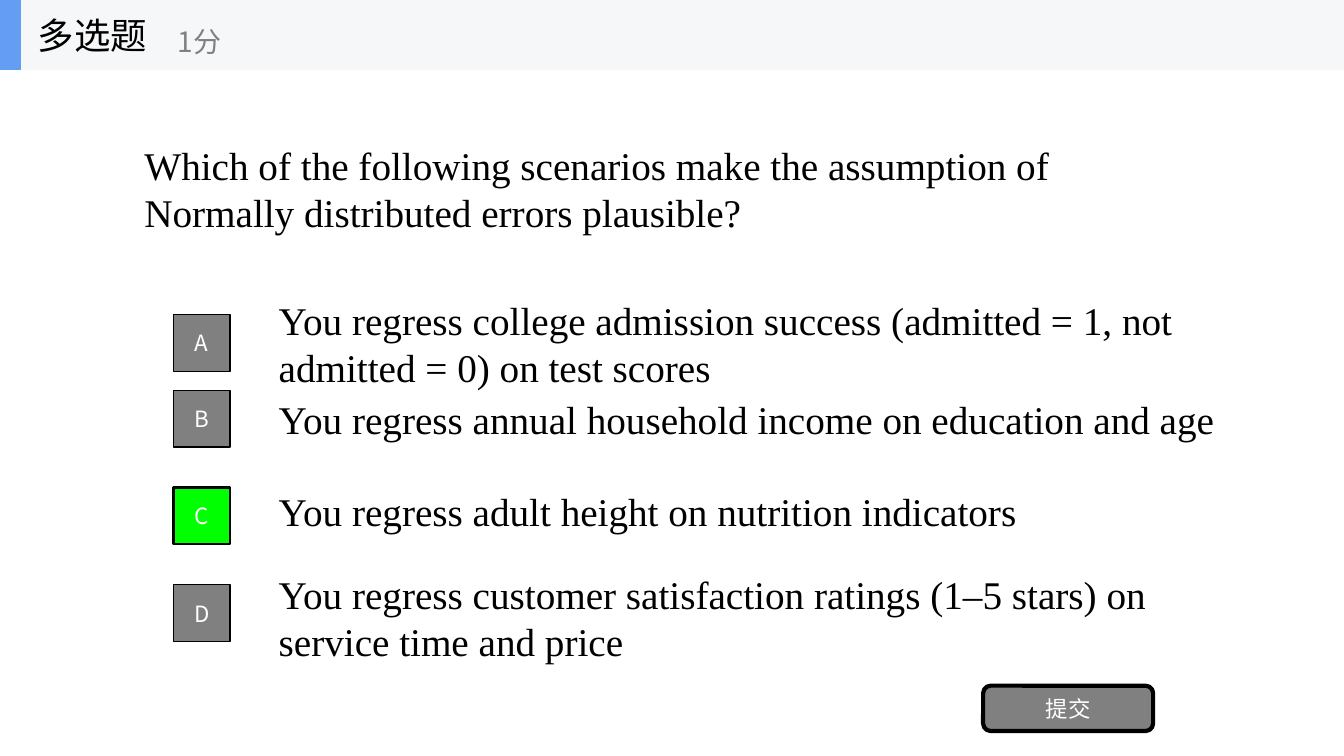
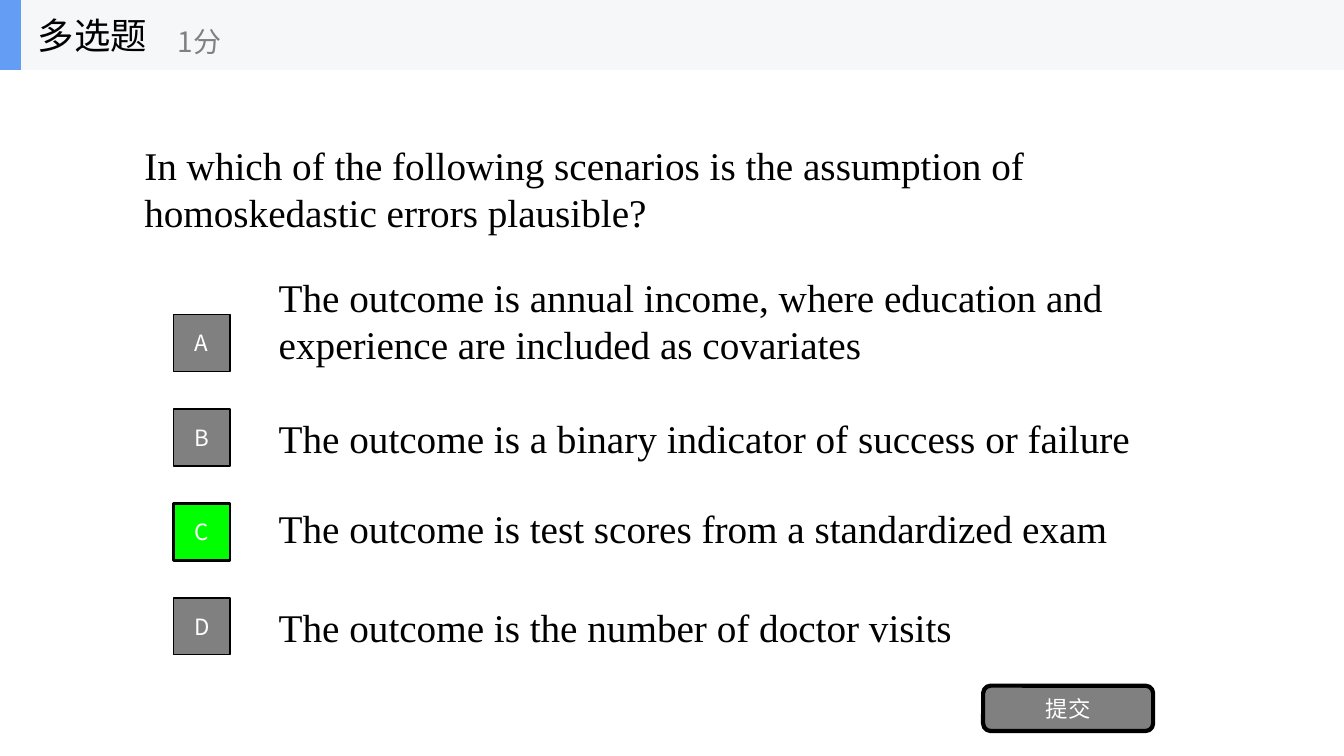
from dataclasses import dataclass
from typing import NamedTuple

from lxml.etree import SubElement
from pptx import Presentation
from pptx.dml.color import RGBColor
from pptx.enum.shapes import MSO_SHAPE
from pptx.enum.text import MSO_ANCHOR, PP_ALIGN
from pptx.oxml.ns import qn
from pptx.util import Inches, Pt

COLORS = {
    "band": "F6F7F8",
    "accent": "639EF4",
    "ink": "000000",
    "muted": "808080",
    "correct": "00FF00",
    "white": "FFFFFF",
}
WIDTH, HEIGHT = Inches(13.33), Inches(7.5)
UI_FONT, BODY_FONT = "Noto Sans CJK SC", "Times New Roman"


class Box(NamedTuple):
    """Left and width in percent of slide width, top and height of its height."""
    left: float
    top: float
    width: float
    height: float

    def lengths(self) -> tuple[int, ...]:
        sides = (WIDTH, HEIGHT, WIDTH, HEIGHT)
        return tuple(round(side * share / 100) for side, share in zip(sides, self))


@dataclass(frozen=True)
class TextStyle:
    font: str
    size: int
    color: str
    align: PP_ALIGN = PP_ALIGN.LEFT
    wrap: bool = True


@dataclass(frozen=True)
class Option:
    """Marker centre in percent of slide height; text_shift moves only the text."""
    text: str
    center: float
    correct: bool = False
    text_shift: float = 0


@dataclass(frozen=True)
class Question:
    text: str
    options: tuple[Option, ...]


TITLE = TextStyle(UI_FONT, 26, "ink", wrap=False)
POINTS = TextStyle(UI_FONT, 20, "muted", wrap=False)
BODY = TextStyle(BODY_FONT, 28, "ink")
BUTTON = TextStyle(UI_FONT, 16, "white", PP_ALIGN.CENTER)

BAND_HEIGHT = 9.26
BAND_BOX = Box(0, 0, 100, BAND_HEIGHT)
ACCENT_BOX = Box(0, 0, 1.56, BAND_HEIGHT)
TITLE_BOX = Box(2.08, 0, 15.63, BAND_HEIGHT)
POINTS_BOX = Box(12.5, 1.65, 18.75, 7.5)
QUESTION_BOX = Box(10, BAND_HEIGHT, 80, 31.25)
SUBMIT_BOX = Box(73.15, 90.7, 12.65, 6)
MARKER_LEFT, MARKER_WIDTH, MARKER_HEIGHT = 12.9, 4.22, 7.5
OPTION_LEFT, OPTION_WIDTH, OPTION_HEIGHT = 20, 72.5, 9.33
FIRST_CENTER, OPTION_STEP = 45.37, 12.5

QUESTIONS = (
    Question(
        "Which of the following scenarios make the assumption of "
        "Normally distributed errors plausible?",
        (
            Option("You regress college admission success (admitted = 1, "
                   "not admitted = 0) on test scores", FIRST_CENTER),
            Option("You regress annual household income on education and age", 55.37),
            Option("You regress adult height on nutrition indicators", 68.2,
                   correct=True, text_shift=-0.6),
            Option("You regress customer satisfaction ratings (1–5 stars) "
                   "on service time and price", 81.1, text_shift=0.6),
        ),
    ),
    Question(
        "In which of the following scenarios is the assumption of "
        "homoskedastic errors plausible?",
        (
            Option("The outcome is annual income, where education and "
                   "experience are included as covariates", FIRST_CENTER, text_shift=-3),
            Option("The outcome is a binary indicator of success or failure",
                   FIRST_CENTER + OPTION_STEP),
            Option("The outcome is test scores from a standardized exam",
                   FIRST_CENTER + 2 * OPTION_STEP, correct=True, text_shift=-0.6),
            Option("The outcome is the number of doctor visits",
                   FIRST_CENTER + 3 * OPTION_STEP),
        ),
    ),
)


def rgb(name: str) -> RGBColor:
    return RGBColor.from_string(COLORS[name])


def write(shape, text: str, style: TextStyle) -> None:
    text_frame = shape.text_frame
    text_frame.text = text
    text_frame.word_wrap = style.wrap
    text_frame.vertical_anchor = MSO_ANCHOR.MIDDLE
    paragraph = text_frame.paragraphs[0]
    paragraph.alignment = style.align
    for run in paragraph.runs:
        run.font.name = style.font
        run.font.size = Pt(style.size)
        run.font.color.rgb = rgb(style.color)
        SubElement(run.font._element, qn("a:ea"), typeface=style.font)


def add_text(shapes, box: Box, text: str, style: TextStyle) -> None:
    write(shapes.add_textbox(*box.lengths()), text, style)


def add_block(shapes, box: Box, fill: str, line_width: float = 0,
              kind: MSO_SHAPE = MSO_SHAPE.RECTANGLE):
    """Add a filled shape, with a black outline if line_width is not zero."""
    shape = shapes.add_shape(kind, *box.lengths())
    shape.shadow.inherit = False
    shape.fill.solid()
    shape.fill.fore_color.rgb = rgb(fill)
    if line_width:
        shape.line.color.rgb = rgb("ink")
        shape.line.width = Pt(line_width)
    else:
        shape.line.fill.background()
    return shape


def add_header(slide) -> None:
    shapes = slide.shapes.add_group_shape().shapes
    add_block(shapes, BAND_BOX, "band")
    add_block(shapes, ACCENT_BOX, "accent")
    add_text(shapes, TITLE_BOX, "多选题", TITLE)
    add_text(shapes, POINTS_BOX, "1分", POINTS)


def add_option(slide, letter: str, option: Option) -> None:
    text_top = option.center + option.text_shift - OPTION_HEIGHT / 2
    add_text(slide.shapes, Box(OPTION_LEFT, text_top, OPTION_WIDTH, OPTION_HEIGHT),
             option.text, BODY)
    marker_box = Box(MARKER_LEFT, option.center - MARKER_HEIGHT / 2,
                     MARKER_WIDTH, MARKER_HEIGHT)
    fill, line_width = ("correct", 2) if option.correct else ("muted", 1)
    write(add_block(slide.shapes, marker_box, fill, line_width), letter, BUTTON)


def add_question(presentation, question: Question) -> None:
    slide = presentation.slides.add_slide(presentation.slide_layouts[6])
    add_header(slide)
    add_text(slide.shapes, QUESTION_BOX, question.text, BODY)
    for letter, option in zip("ABCD", question.options):
        add_option(slide, letter, option)
    submit = add_block(slide.shapes, SUBMIT_BOX, "muted", 3, MSO_SHAPE.ROUNDED_RECTANGLE)
    write(submit, "提交", BUTTON)


def main() -> None:
    presentation = Presentation()
    presentation.slide_width, presentation.slide_height = WIDTH, HEIGHT
    for question in QUESTIONS:
        add_question(presentation, question)
    presentation.save("out.pptx")


if __name__ == "__main__":
    main()
